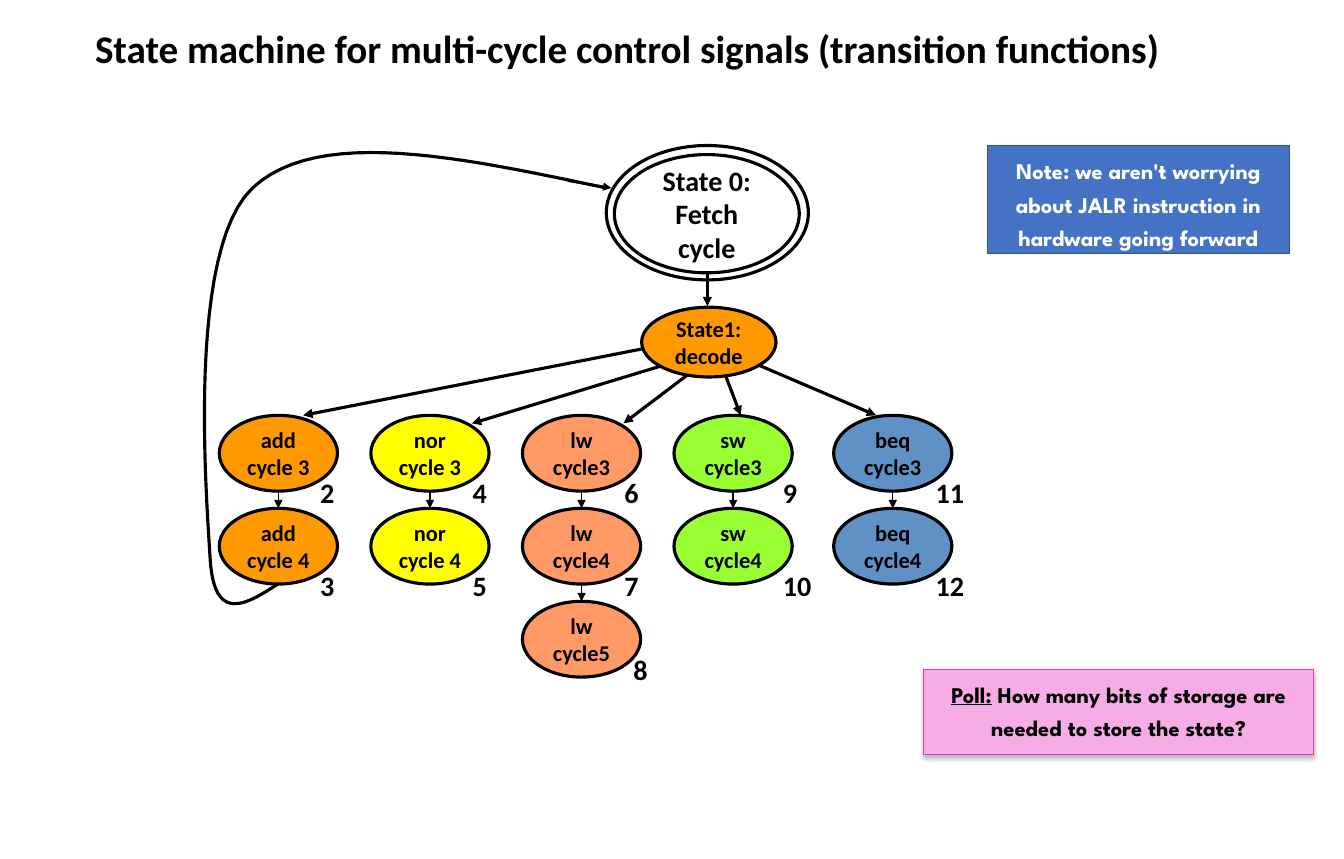
from lxml import etree
from pptx import Presentation
from pptx.dml.color import RGBColor
from pptx.enum.shapes import MSO_CONNECTOR, MSO_SHAPE
from pptx.enum.text import MSO_ANCHOR, PP_ALIGN
from pptx.oxml.ns import qn
from pptx.util import Inches, Pt

STRAIGHT = MSO_CONNECTOR.STRAIGHT
ELLIPSE, RECTANGLE = MSO_SHAPE.OVAL, MSO_SHAPE.RECTANGLE
TOP, MIDDLE, BOTTOM = MSO_ANCHOR.TOP, MSO_ANCHOR.MIDDLE, MSO_ANCHOR.BOTTOM
LEFT, CENTER = PP_ALIGN.LEFT, PP_ALIGN.CENTER

BLACK = RGBColor(0x00, 0x00, 0x00)
WHITE = RGBColor(0xFF, 0xFF, 0xFF)
ORANGE = RGBColor(0xFF, 0x99, 0x00)
YELLOW = RGBColor(0xFF, 0xFF, 0x00)
SALMON = RGBColor(0xFF, 0x99, 0x66)
GREEN = RGBColor(0x99, 0xFF, 0x33)
STEEL = RGBColor(0x5F, 0x91, 0xC7)
NOTE_FILL, NOTE_LINE = RGBColor(0x44, 0x72, 0xC4), RGBColor(0x32, 0x54, 0x91)
POLL_FILL, POLL_LINE = RGBColor(0xF6, 0xAD, 0xE5), RGBColor(0xE8, 0x33, 0xBF)

STATE_WIDTH, STATE_HEIGHT, STATE_PITCH = 1.17, 0.75, 0.92
# left edge, fill, instruction, cycle prefix, state numbers, number offset
CHAINS = [
    (2.17, ORANGE, "add", "cycle ", (2, 3), 0.9),
    (3.67, YELLOW, "nor", "cycle ", (4, 5), 0.91),
    (5.17, SALMON, "lw", "cycle", (6, 7, 8), 0.91),
    (6.67, GREEN, "sw", "cycle", (9, 10), 0.98),
    (8.25, STEEL, "beq", "cycle", (11, 12), 0.91),
]
# start and end, relative to the diagram's corner
DECODE_ARROWS = [
    (4.57, 2.19, 1.15, 2.86),
    (4.73, 2.36, 2.82, 2.94),
    (4.98, 2.44, 4.32, 2.94),
    (5.32, 2.44, 5.48, 2.86),
    (5.65, 2.36, 6.82, 2.86),
]
# control points of the joined cubic curves of the return path
RETURN_CURVE = [
    (0.9, 4.53), (0.59, 4.73), (0.27, 4.93), (0.23, 4.28), (0.19, 3.62),
    (0, 1.22), (0.65, 0.61), (1.3, 0), (2.73, 0.31), (4.15, 0.61),
]
CURVE_STEPS = 24


def style_text(frame, size, font="Calibri", color=BLACK, align=CENTER, anchor=MIDDLE, spacing=None):
    frame.vertical_anchor = anchor
    for para in frame.paragraphs:
        para.alignment = align
        if spacing:
            para.line_spacing = spacing
        for span in para.runs:
            span.font.size = Pt(size)
            span.font.name = font
            span.font.bold = True
            span.font.color.rgb = color


def add_box(page, kind, left, top, width, height, fill=None, line=BLACK, weight=2.25):
    shape = page.shapes.add_shape(kind, Inches(left), Inches(top), Inches(width), Inches(height))
    shape.shadow.inherit = False
    if fill is None:
        shape.fill.background()
    else:
        shape.fill.solid()
        shape.fill.fore_color.rgb = fill
    shape.line.color.rgb = line
    shape.line.width = Pt(weight)
    return shape


def add_state(page, left, top, width, height, text, fill=None, size=16):
    state = add_box(page, ELLIPSE, left, top, width, height, fill)
    state.text_frame.text = text
    state.text_frame.word_wrap = True
    style_text(state.text_frame, size)
    return state


def add_arrow(page, x1, y1, x2, y2, weight=2.25):
    arrow = page.shapes.add_connector(STRAIGHT, Inches(x1), Inches(y1), Inches(x2), Inches(y2))
    arrow.line.color.rgb = BLACK
    arrow.line.width = Pt(weight)
    line = arrow.line._get_or_add_ln()
    etree.SubElement(line, qn("a:tailEnd"), type="triangle")
    etree.SubElement(arrow._element.spPr, qn("a:effectLst"))
    return arrow


def add_number(page, left, top, number):
    width = 0.34 if number < 10 else 0.49
    label = page.shapes.add_textbox(Inches(left), Inches(top), Inches(width), Inches(0.44))
    label.text_frame.text = str(number)
    label.text_frame.word_wrap = False
    style_text(label.text_frame, 20, align=LEFT, anchor=TOP)


def add_chain(page, left, top, fill, name, prefix, numbers, offset):
    """Stack the states of one instruction, from cycle 3 on."""
    center = left + STATE_WIDTH / 2
    for row, number in enumerate(numbers):
        y = top + row * STATE_PITCH
        text = f"{name}\n{prefix}{row + 3}"
        state = add_state(page, left, y, STATE_WIDTH, STATE_HEIGHT, text, fill)
        if row:
            arrow = add_arrow(page, center, y - STATE_PITCH + STATE_HEIGHT, center, y, 1)
            arrow.end_connect(state, 0)
        if row == 2:
            add_number(page, left + 1, y + 0.46, number)
        else:
            add_number(page, left + offset, y + 0.55, number)


def curve_points(controls):
    """Sample a chain of cubic curves that share their end points."""
    points = [controls[0]]
    for start in range(0, len(controls) - 1, 3):
        a, b, c, d = controls[start:start + 4]
        for step in range(1, CURVE_STEPS + 1):
            t = step / CURVE_STEPS
            weights = ((1 - t) ** 3, 3 * t * (1 - t) ** 2, 3 * t * t * (1 - t), t ** 3)
            points.append(tuple(
                sum(w * point[axis] for w, point in zip(weights, (a, b, c, d)))
                for axis in (0, 1)
            ))
    return points


def add_return_path(page, left, top):
    points = [(Inches(left + x), Inches(top + y)) for x, y in curve_points(RETURN_CURVE)]
    builder = page.shapes.build_freeform(*points[0])
    builder.add_line_segments(points[1:], close=False)
    curve = builder.convert_to_shape()
    curve.shadow.inherit = False
    curve.fill.background()
    curve.line.color.rgb = BLACK
    curve.line.width = Pt(2.25)
    add_arrow(page, left + 3.77, top + 0.54, left + 4.2, top + 0.61, 1.5)


def add_state_machine(page, left, top):
    for x1, y1, x2, y2 in DECODE_ARROWS:
        add_arrow(page, left + x1, top + y1, left + x2, top + y2)
    add_state(page, left + 4.23, top + 0.28, 1.83, 1.17, "State 0:\nFetch cycle", size=20)
    add_state(page, left + 4.5, top + 1.79, 1.33, 0.69, "State1:\ndecode", ORANGE)
    add_arrow(page, left + 5.15, top + 1.44, left + 5.15, top + 1.78)
    add_box(page, ELLIPSE, left + 4.15, top + 0.19, 2, 1.33)
    for chain_left, *details in CHAINS:
        add_chain(page, chain_left, top + 2.86, *details)
    add_return_path(page, left, top)


def add_callout(page, left, top, width, height, text, fill, line, weight, color):
    box = add_box(page, RECTANGLE, left, top, width, height, fill, line, weight)
    box.text_frame.text = text
    box.text_frame.word_wrap = True
    style_text(box.text_frame, 16, "League Spartan", color, anchor=TOP, spacing=1.25)
    return box


def add_poll(page, left, top, width, height):
    box = add_callout(page, left, top, width, height, "Poll:", POLL_FILL, POLL_LINE, 0.75, BLACK)
    para = box.text_frame.paragraphs[0]
    para.add_run().text = " How many bits of storage are needed to store the state?"
    style_text(box.text_frame, 16, "League Spartan", anchor=TOP, spacing=1.25)
    para.runs[0].font.underline = True
    effects = box._element.spPr.find(qn("a:effectLst"))
    shadow = etree.SubElement(effects, qn("a:outerShdw"), blurRad=str(Pt(3)),
                              dist=str(Pt(2)), dir="5400000", rotWithShape="0")
    shade = etree.SubElement(shadow, qn("a:srgbClr"), val=str(BLACK))
    etree.SubElement(shade, qn("a:alpha"), val="25000")


def add_title(page, left, top, width, height):
    title = page.shapes.title
    title.left, title.top = Inches(left), Inches(top)
    title.width, title.height = Inches(width), Inches(height)
    title.text_frame.text = "State machine for multi-cycle control signals (transition functions)"
    title.text_frame.word_wrap = True
    style_text(title.text_frame, 27.9, align=LEFT, anchor=BOTTOM)


def main():
    deck = Presentation()
    deck.slide_width, deck.slide_height = Inches(13.3), Inches(8.5)
    page = deck.slides.add_slide(deck.slide_layouts[5])
    add_title(page, 0.84, -0.28, 11.64, 1.04)
    add_state_machine(page, 1.85, 1.25)
    add_poll(page, 9.14, 6.62, 3.86, 0.85)
    add_callout(page, 9.77, 1.44, 2.99, 1.07,
                "Note: we aren't worrying about JALR instruction in hardware going forward",
                NOTE_FILL, NOTE_LINE, 1, WHITE)
    deck.save("out.pptx")


if __name__ == "__main__":
    main()
